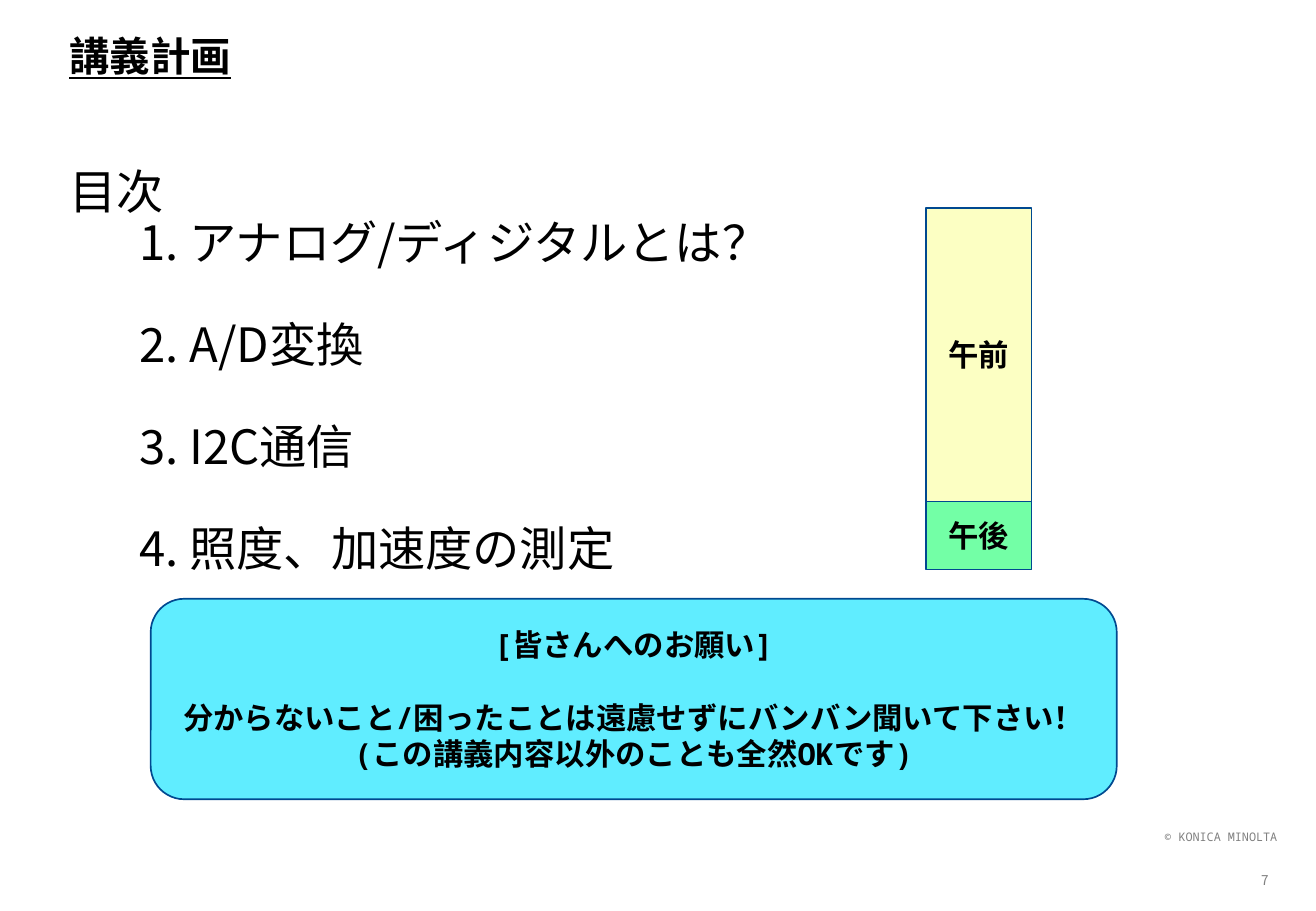
from lxml import etree
from pptx import Presentation
from pptx.dml.color import RGBColor
from pptx.enum.shapes import MSO_SHAPE
from pptx.enum.text import MSO_ANCHOR, MSO_AUTO_SIZE, PP_ALIGN
from pptx.oxml.ns import qn
from pptx.util import Inches, Pt

RECTANGLE, ROUNDED = MSO_SHAPE.RECTANGLE, MSO_SHAPE.ROUNDED_RECTANGLE
TOP, MIDDLE = MSO_ANCHOR.TOP, MSO_ANCHOR.MIDDLE
LEFT, CENTER, RIGHT = PP_ALIGN.LEFT, PP_ALIGN.CENTER, PP_ALIGN.RIGHT
NO_FIT = MSO_AUTO_SIZE.NONE

SANS, MONO = "Noto Sans CJK JP", "Noto Sans Mono"
COLORS = {
    "text": "000000",
    "footer": "808080",
    "outline": "004990",
    "morning": "FCFFC3",
    "afternoon": "73FFA6",
    "request": "60EDFF",
}
AGENDA = ["1. アナログ/ディジタルとは？", "2. A/D変換", "3. I2C通信", "4. 照度、加速度の測定"]
REQUEST = [
    "[皆さんへのお願い]",
    "分からないこと/困ったことは遠慮せずにバンバン聞いて下さい！",
    "(この講義内容以外のことも全然OKです)",
]


def color(name):
    return RGBColor.from_string(COLORS[name])


def place(shape, left, top, width, height):
    shape.left, shape.top = Inches(left), Inches(top)
    shape.width, shape.height = Inches(width), Inches(height)


def prepare_frame(shape, anchor, side_margin=0.1, top_margin=0.05):
    frame = shape.text_frame
    frame.word_wrap = True
    frame.auto_size = NO_FIT
    frame.vertical_anchor = anchor
    frame.margin_left = frame.margin_right = Inches(side_margin)
    frame.margin_top, frame.margin_bottom = Inches(top_margin), Inches(0.05)
    return frame


def add_paragraph(frame, index, text, size, font=SANS, tint="text", bold=False,
                  align=LEFT, line=None, before=0):
    paragraph = frame.paragraphs[0] if index == 0 else frame.add_paragraph()
    paragraph.alignment = align
    paragraph.space_before = Pt(before)
    if line:
        paragraph.line_spacing = Pt(line)
    run = paragraph.add_run()
    run.text = text
    run.font.name, run.font.size, run.font.bold = font, Pt(size), bold
    run.font.color.rgb = color(tint)
    east_asian = etree.SubElement(run.font._element, qn("a:ea"))
    east_asian.set("typeface", SANS)
    return paragraph


def indent_without_bullet(paragraph, margin):
    properties = paragraph._p.get_or_add_pPr()
    properties.set("marL", str(Inches(margin)))
    properties.set("indent", "0")
    etree.SubElement(properties, qn("a:buNone"))


def add_box(slide, kind, bounds, fill, lines, gap=0):
    shape = slide.shapes.add_shape(kind, *map(Inches, bounds))
    shape.shadow.inherit = False
    shape.fill.solid()
    shape.fill.fore_color.rgb = color(fill)
    shape.line.color.rgb = color("outline")
    shape.line.width = Pt(1)
    frame = prepare_frame(shape, MIDDLE, side_margin=0.05)
    for index, text in enumerate(lines):
        add_paragraph(frame, index, text, 18, MONO, bold=True, align=CENTER,
                      line=21.6, before=gap if index == 1 else 0)


def add_footer(slide, bounds, text, size, font, align):
    box = slide.shapes.add_textbox(*map(Inches, bounds))
    frame = prepare_frame(box, MIDDLE)
    add_paragraph(frame, 0, text, size, font, "footer", align=align)


def fill_title(title):
    place(title, 0.47, 0.22, 8.06, 0.51)
    frame = prepare_frame(title, MIDDLE)
    paragraph = add_paragraph(frame, 0, "講義計画", 24, bold=True, line=26)
    paragraph.runs[0].font.underline = True


def fill_agenda(body):
    place(body, 0.47, 1.31, 10.03, 5.51)
    frame = prepare_frame(body, TOP, top_margin=0.07)
    line = 30.24
    for index, text in enumerate(["目次"] + AGENDA):
        paragraph = add_paragraph(frame, index, text, 28, line=line,
                                  before=line if index > 1 else 0)
        indent_without_bullet(paragraph, 0.58 if index else 0)


def main():
    presentation = Presentation()
    presentation.slide_width, presentation.slide_height = Inches(10.83), Inches(7.5)
    slide = presentation.slides.add_slide(presentation.slide_layouts[1])

    # Title and agenda
    fill_title(slide.shapes.title)
    fill_agenda(slide.placeholders[1])

    # Request to the students
    add_box(slide, ROUNDED, (1.24, 4.93, 7.95, 1.65), "request", REQUEST, gap=21.6)

    # Time of day beside the agenda
    add_box(slide, RECTANGLE, (7.62, 1.71, 0.87, 2.42), "morning", ["午前"])
    add_box(slide, RECTANGLE, (7.62, 4.13, 0.87, 0.56), "afternoon", ["午後"])

    # Footer
    add_footer(slide, (8.61, 6.78, 2, 0.22), "© KONICA MINOLTA", 7, MONO, RIGHT)
    add_footer(slide, (10.21, 7.08, 0.4, 0.33), "7", 8, SANS, CENTER)

    presentation.save("out.pptx")


if __name__ == "__main__":
    main()
